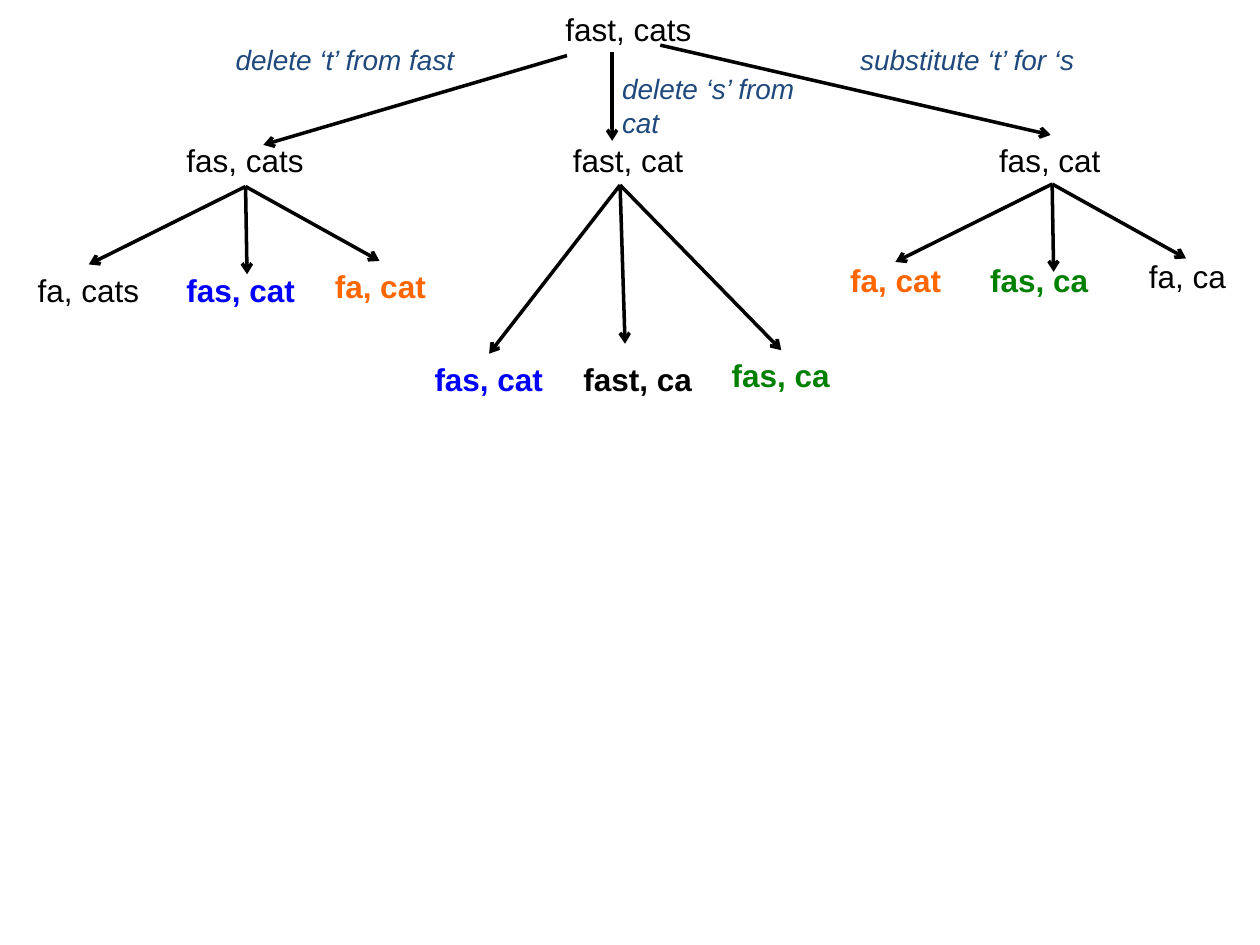
import pptx
import pptx.dml.color
import pptx.enum.shapes
import pptx.enum.text
import pptx.util
from lxml import etree
from pptx.oxml.ns import qn
from pptx.util import Cm

BLACK, BLUE, ORANGE, GREEN, NAVY = "000000", "0000FF", "FF6600", "008000", "1F497D"


def color(code):
    return pptx.dml.color.RGBColor.from_string(code)


class TreeSlide:
    """Holds the style and the slide being drawn."""

    font = "Arial"
    line_width = 2

    def __init__(self, slide):
        self.slide = slide

    def text(self, words, left, top, width, height=1.02, size=18,
             code=BLACK, bold=False, italic=False):
        box = self.slide.shapes.add_textbox(Cm(left), Cm(top), Cm(width), Cm(height))
        frame = box.text_frame
        frame.text = words
        frame.word_wrap = False
        frame.auto_size = pptx.enum.text.MSO_AUTO_SIZE.SHAPE_TO_FIT_TEXT
        for para in frame.paragraphs:
            for span in para.runs:
                span.font.name = self.font
                span.font.size = pptx.util.Pt(size)
                span.font.bold = bold
                span.font.italic = italic
                span.font.color.rgb = color(code)

    def edit_label(self, words, left, top, width, height=0.94):
        self.text(words, left, top, width, height, size=16, code=NAVY, italic=True)

    def arrow(self, x1, y1, x2, y2):
        line = self.slide.shapes.add_connector(
            pptx.enum.shapes.MSO_CONNECTOR.STRAIGHT, Cm(x1), Cm(y1), Cm(x2), Cm(y2))
        line.line.color.rgb = color(BLACK)
        line.line.width = pptx.util.Pt(self.line_width)
        etree.SubElement(line.line._get_or_add_ln(), qn("a:tailEnd"), type="arrow")
        etree.SubElement(line._element.spPr, qn("a:effectLst"))

    def fan(self, x, y, offsets):
        for across, down in offsets:
            self.arrow(x, y, x + across, y + down)


def main():
    deck = pptx.Presentation()
    deck.slide_width, deck.slide_height = Cm(25.4), Cm(19.05)
    tree = TreeSlide(deck.slides.add_slide(deck.slide_layouts[6]))

    # Root and its three children
    for words, left, top, width in [
        ("fast, cats", 11.15, 0.08, 3.07),
        ("fas, cats", 3.51, 2.72, 2.9),
        ("fast, cat", 11.3, 2.72, 2.77),
        ("fas, cat", 19.89, 2.72, 2.59),
    ]:
        tree.text(words, left, top, width)

    # Leaves: equal pairs share a colour
    for words, left, top, width, code, bold in [
        ("fa, cats", 0.51, 5.33, 2.59, BLACK, False),
        ("fas, cat", 3.51, 5.33, 2.72, BLUE, True),
        ("fa, cat", 6.5, 5.26, 2.36, ORANGE, True),
        ("fas, cat", 8.51, 7.14, 2.72, BLUE, True),
        ("fast, ca", 11.51, 7.14, 2.72, BLACK, True),
        ("fas, ca", 14.5, 7.06, 2.51, GREEN, True),
        ("fa, cat", 16.89, 5.13, 2.36, ORANGE, True),
        ("fas, ca", 19.71, 5.13, 2.51, GREEN, True),
        ("fa, ca", 22.91, 5.05, 2.16, BLACK, False),
    ]:
        tree.text(words, left, top, width, code=code, bold=bold)

    # Arrows from the root
    tree.arrow(11.43, 1.12, 5.31, 2.92)
    tree.arrow(12.34, 1.04, 12.34, 2.84)
    tree.arrow(13.31, 0.91, 21.18, 2.72)

    # Arrows from the children: the outer fans are alike, the middle one is longer
    short_fan = [(-3.16, 1.57), (0.03, 1.77), (2.7, 1.5)]
    long_fan = [(-2.64, 3.4), (0.1, 3.2), (3.25, 3.33)]
    tree.fan(4.95, 3.76, short_fan)
    tree.fan(12.5, 3.73, long_fan)
    tree.fan(21.21, 3.71, short_fan)

    # Edit labels
    tree.edit_label("delete ‘t’ from fast", 4.5, 0.74, 5.11)
    tree.edit_label("delete ‘s’ from\ncat", 12.29, 1.32, 4.17, 1.63)
    tree.edit_label("substitute ‘t’ for ‘s", 17.09, 0.74, 5.03)

    deck.save("out.pptx")


if __name__ == "__main__":
    main()
